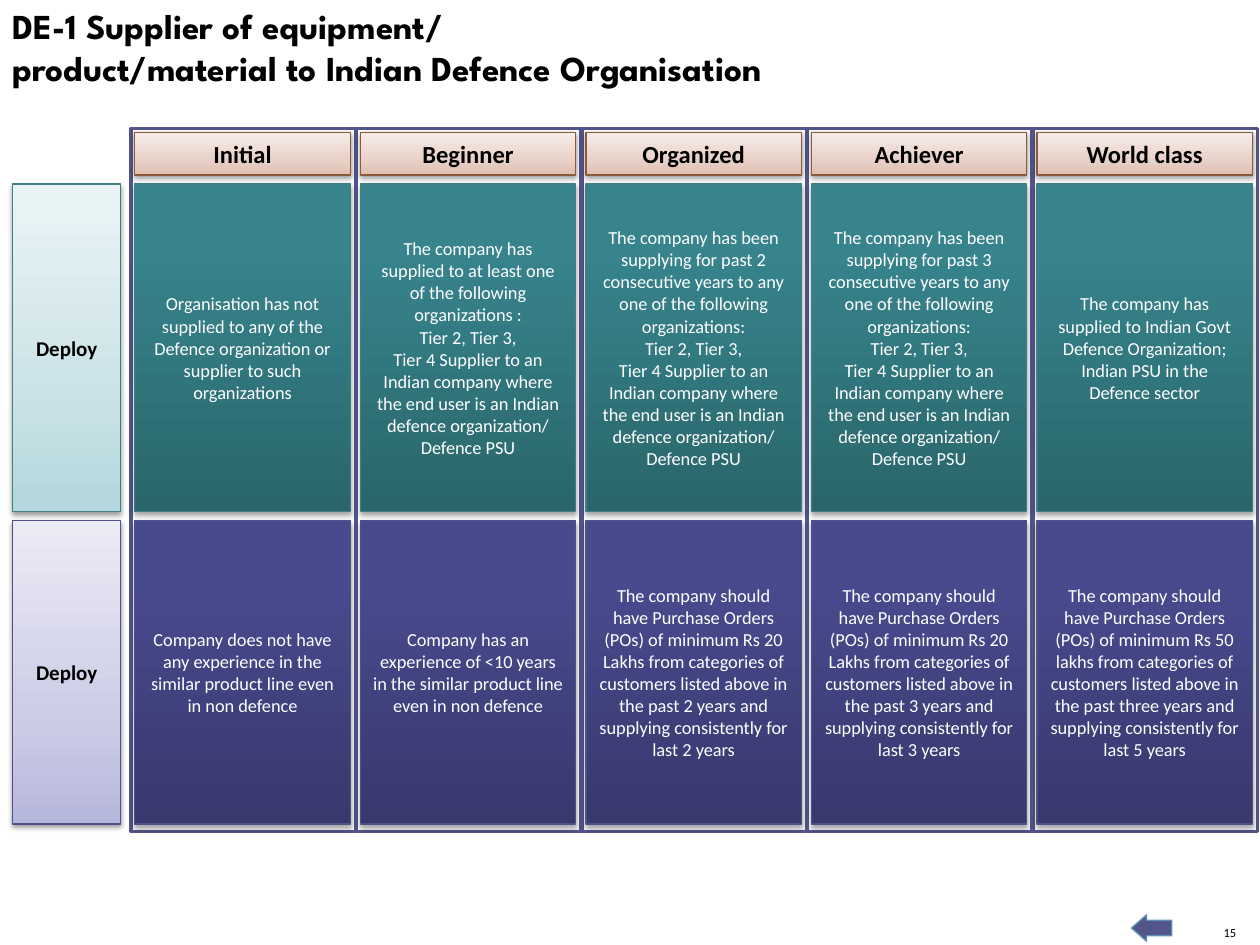
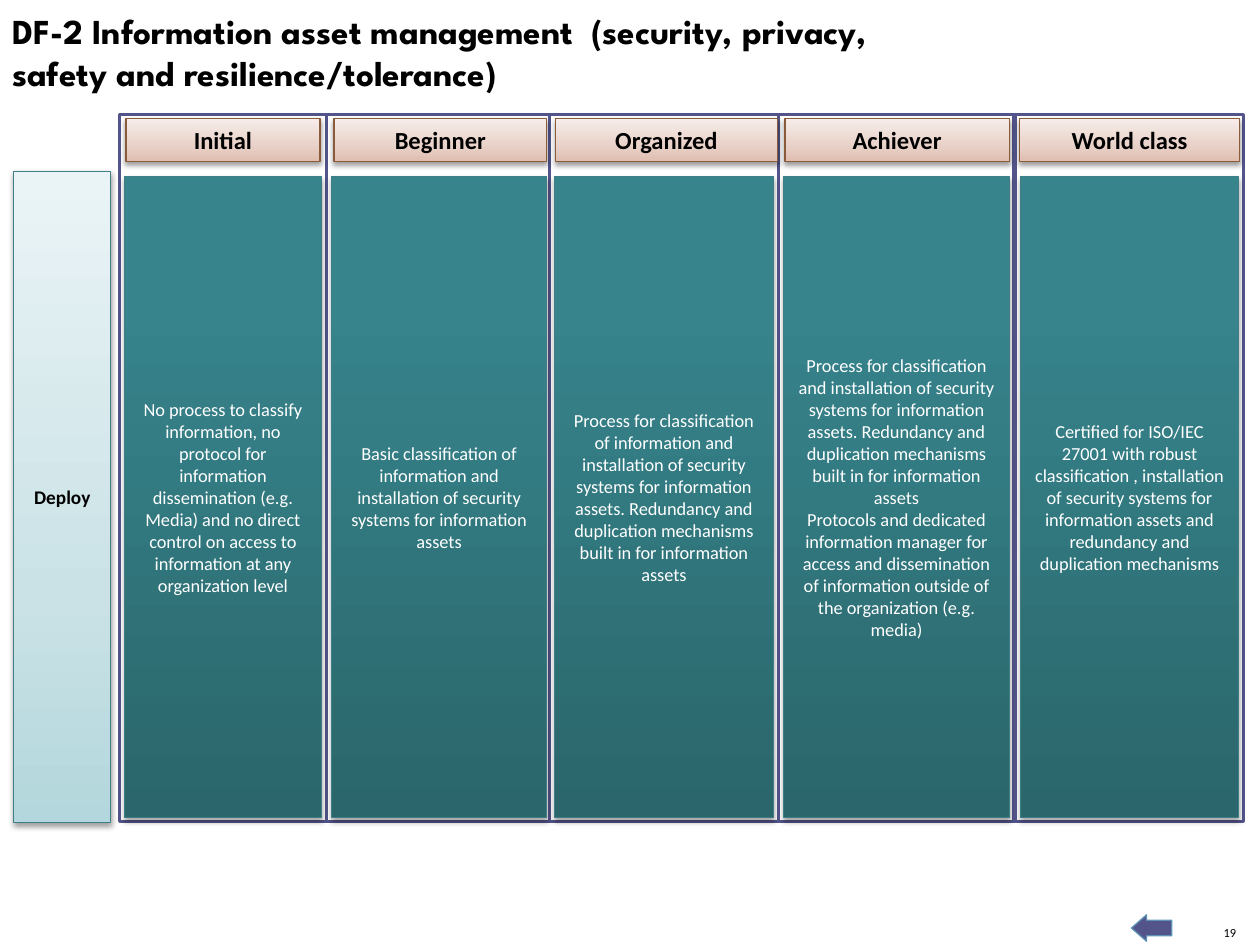
"""Builds two maturity-level slides that share a title, level columns and a footer."""
from copy import deepcopy

from lxml import etree
from pptx import Presentation
from pptx.dml.color import RGBColor
from pptx.enum.shapes import MSO_SHAPE
from pptx.enum.text import MSO_ANCHOR, MSO_AUTO_SIZE, PP_ALIGN
from pptx.oxml.ns import qn
from pptx.util import Inches, Pt

RECTANGLE = MSO_SHAPE.RECTANGLE
RIGHT_ARROW = MSO_SHAPE.RIGHT_ARROW
MIDDLE = MSO_ANCHOR.MIDDLE
BOTTOM = MSO_ANCHOR.BOTTOM
LEFT = PP_ALIGN.LEFT
CENTER = PP_ALIGN.CENTER
RIGHT = PP_ALIGN.RIGHT
GROW = MSO_AUTO_SIZE.SHAPE_TO_FIT_TEXT

BODY_FONT = "Calibri"
TITLE_FONT = "League Spartan"
BLACK, WHITE, INDIGO = "000000", "FFFFFF", "53548A"
ARROW_LINE = "5C92B5"

PALE_STOPS, DARK_STOPS = (0, 0.35, 1), (0, 0.8, 1)
PALE_SHADOW, DARK_SHADOW = (38, 1.6), (35, 1.8)
SHADOW_BLUR = 3.1

PEACH = (("E0BEB0", "E8D1C8", "F7EDEA"), PALE_STOPS, "8A5B3A", PALE_SHADOW)
PALE_TEAL = (("B3D7DC", "CAE2E6", "EAF4F6"), PALE_STOPS, "407F85", PALE_SHADOW)
PALE_VIOLET = (("B6B7DC", "CCCCE6", "EBEBF6"), PALE_STOPS, "505188", PALE_SHADOW)
TEAL = (("2A666B", "37848C", "36868E"), DARK_STOPS, "407F85", DARK_SHADOW)
VIOLET = (("38396D", "484A8E", "474990"), DARK_STOPS, "505188", DARK_SHADOW)

LEVELS = ["Initial", "Beginner", "Organized", "Achiever", "World class"]
HEADER_HEIGHT = 0.34
FRAME_INSET = 0.03

TIERS = ["Tier 2, Tier 3,",
         "Tier 4 Supplier to an Indian company where the end user is an Indian "
         "defence organization/ Defence PSU"]
SUPPLYING = ("The company has been supplying for past {} consecutive years to any one "
             "of the following organizations:")
ORDERS = ("The company should have Purchase Orders (POs) of minimum Rs {} from categories "
          "of customers listed above in the past {} years and supplying consistently for "
          "last {} years")
SUPPLY_HISTORY = [
    ["Organisation has not supplied to any of the Defence organization or supplier to "
     "such organizations"],
    ["The company has supplied to at least one of the following organizations :", *TIERS],
    [SUPPLYING.format(2), *TIERS],
    [SUPPLYING.format(3), *TIERS],
    ["The company has supplied to Indian Govt Defence Organization; Indian PSU in the "
     "Defence sector"],
]
PRODUCT_EXPERIENCE = [
    ["Company does not have any experience in the similar product line even in non defence"],
    ["Company has an experience of <10 years in the similar product line even in non defence"],
    [ORDERS.format("20 Lakhs", 2, 2)],
    [ORDERS.format("20 Lakhs", 3, 3)],
    [ORDERS.format("50 lakhs", "three", 5)],
]
REDUNDANCY = ("installation of security systems for information assets. Redundancy and "
              "duplication mechanisms built in for information assets")
INFORMATION_ASSETS = [
    ["No process to classify information, no protocol for information dissemination "
     "(e.g. Media) and no direct control on access to information at any organization level"],
    ["Basic classification of information and installation of security systems for "
     "information assets"],
    ["Process for classification of information and " + REDUNDANCY],
    ["Process for classification and " + REDUNDANCY,
     "Protocols and dedicated information manager for access and dissemination of "
     "information outside of the organization (e.g. media)"],
    ["Certified for ISO/IEC 27001 with robust classification , installation of security "
     "systems for information assets and redundancy and duplication mechanisms"],
]


def rgb(hex_colour):
    """Turn a hex string into a colour."""
    return RGBColor.from_string(hex_colour)


class MaturityDeck:
    """Holds the deck, its style and the current slide."""

    def __init__(self):
        """Start an empty deck."""
        self.deck = Presentation()
        self.deck.slide_width, self.deck.slide_height = Inches(10), Inches(7.5)
        self.slide = None

    def new_slide(self, page_number):
        """Add a slide with its page number and back arrow."""
        self.slide = self.deck.slides.add_slide(self.deck.slide_layouts[6])
        box = self.text_box((9.69, 7.34, 0.12, 0.12), wrap=False)
        frame = box.text_frame
        frame.margin_left = frame.margin_right = frame.margin_top = frame.margin_bottom = 0
        frame.vertical_anchor = BOTTOM
        self.set_lines(frame, [str(page_number)], 7.1, align=RIGHT)
        arrow = self.shape(RIGHT_ARROW, (8.98, 7.26, 0.32, 0.21), INDIGO, ARROW_LINE, 0.75)
        arrow.rotation = 180
        arrow.adjustments[0], arrow.adjustments[1] = 0.59, 0.57

    def text_box(self, place, wrap=True):
        """Add a text box that grows with its text."""
        box = self.slide.shapes.add_textbox(*map(Inches, place))
        box.text_frame.word_wrap = wrap
        box.text_frame.auto_size = GROW
        return box

    def set_lines(self, frame, lines, size, colour=BLACK, bold=False, align=CENTER,
                  font=BODY_FONT):
        """Fill a text frame with one paragraph per line."""
        frame.text = "\n".join(lines)
        for para in frame.paragraphs:
            para.alignment = align
            for span in para.runs:
                span.font.name, span.font.size = font, Pt(size)
                span.font.bold, span.font.color.rgb = bold, rgb(colour)

    def title(self, lines, top, width):
        """Add the slide title."""
        box = self.text_box((0, top, width, 0.77))
        self.set_lines(box.text_frame, lines, 20, bold=True, align=LEFT, font=TITLE_FONT)

    def shape(self, kind, place, fill, line, line_width):
        """Add a preset shape, with a solid fill if one is given."""
        shape = self.slide.shapes.add_shape(kind, *map(Inches, place))
        shape.shadow.inherit = False
        if fill:
            shape.fill.solid()
            shape.fill.fore_color.rgb = rgb(fill)
        shape.line.color.rgb = rgb(line)
        shape.line.width = Pt(line_width)
        return shape

    def shade(self, shape, colours, positions):
        """Give a shape an upward gradient of three stops."""
        shape.fill.gradient()
        shape.fill.gradient_angle = 90
        stop_list = shape.element.spPr.find(qn("a:gradFill")).find(qn("a:gsLst"))
        stop_list.append(deepcopy(stop_list[-1]))
        for stop, colour, position in zip(shape.fill.gradient_stops, colours, positions):
            stop.color.rgb = rgb(colour)
            stop.position = position

    def drop_shadow(self, shape, opacity, distance):
        """Add a soft shadow below a shape."""
        effects = shape.element.spPr.find(qn("a:effectLst"))
        shadow = etree.SubElement(
            effects, qn("a:outerShdw"), blurRad=str(Pt(SHADOW_BLUR)), dist=str(Pt(distance)),
            dir="5400000", rotWithShape="0")
        colour = etree.SubElement(shadow, qn("a:srgbClr"), val=BLACK)
        etree.SubElement(colour, qn("a:alpha"), val=str(opacity * 1000))

    def panel(self, place, look, lines, size, colour=BLACK, bold=True):
        """Add a shaded rectangle with centred text."""
        colours, positions, line, shadow = look
        box = self.shape(RECTANGLE, place, None, line, 0.75)
        self.shade(box, colours, positions)
        self.drop_shadow(box, *shadow)
        box.text_frame.word_wrap = True
        box.text_frame.vertical_anchor = MIDDLE
        self.set_lines(box.text_frame, lines, size, colour, bold)

    def frames(self, columns, top, height):
        """Outline every level column."""
        for left, width in columns:
            self.shape(RECTANGLE, (left, top, width, height), WHITE, INDIGO, 2)

    def headers(self, columns, top):
        """Name the level above every column."""
        for (left, width), level in zip(columns, LEVELS):
            self.panel((left, top, width, HEADER_HEIGHT), PEACH, [level], 14)

    def cells(self, columns, top, height, look, texts):
        """Describe one criterion at every level."""
        for (left, width), lines in zip(columns, texts):
            self.panel((left, top, width, height), look, lines, 10.5, WHITE, False)


def inset(columns, left_gap, right_gap):
    """Shrink columns by a gap on each side."""
    return [(left + left_gap, width - left_gap - right_gap) for left, width in columns]


def add_supplier_slide(deck):
    """Build the slide on supplying defence organisations."""
    deck.new_slide(15)
    deck.title(["DE-1 Supplier of equipment/",
                "product/material to Indian Defence Organisation"], -0.01, 7.59)
    columns = [(1.04 + 1.79 * index, 1.78) for index in range(len(LEVELS))]
    inner = inset(columns, FRAME_INSET, 0.04)
    frame_top = 1.02
    rows = [(1.46, 2.6, PALE_TEAL, TEAL, SUPPLY_HISTORY),
            (4.13, 2.41, PALE_VIOLET, VIOLET, PRODUCT_EXPERIENCE)]
    deck.frames(columns, frame_top, 5.58)
    for top, height, label_look, cell_look, texts in rows:
        deck.panel((0.1, top, 0.86, height), label_look, ["Deploy"], 12)
        deck.cells(inner, top, height, cell_look, texts)
    deck.headers(inner, frame_top + FRAME_INSET)


def add_information_slide(deck):
    """Build the slide on information asset management."""
    deck.new_slide(19)
    deck.title(["DF-2 Information asset management  (security, privacy, safety and "
                "resilience/tolerance)"], 0.03, 7.66)
    columns = [(0.95, 1.64), (2.59, 1.79), (4.36, 1.82), (6.18, 1.87), (8.06, 1.81)]
    header_columns = [(1, 1.54), (2.65, 1.69), (4.41, 1.76), (6.23, 1.78), (8.09, 1.75)]
    frame_top = 0.91
    deck.frames(columns, frame_top, 5.61)
    deck.headers(header_columns, frame_top + FRAME_INSET)
    deck.cells(inset(columns, 0.04, 0.04), 1.4, 5.09, TEAL, INFORMATION_ASSETS)
    deck.panel((0.11, 1.36, 0.77, 5.17), PALE_TEAL, ["Deploy"], 11)


def main():
    """Build and save the deck."""
    maturity = MaturityDeck()
    add_supplier_slide(maturity)
    add_information_slide(maturity)
    maturity.deck.save("out.pptx")


if __name__ == "__main__":
    main()
